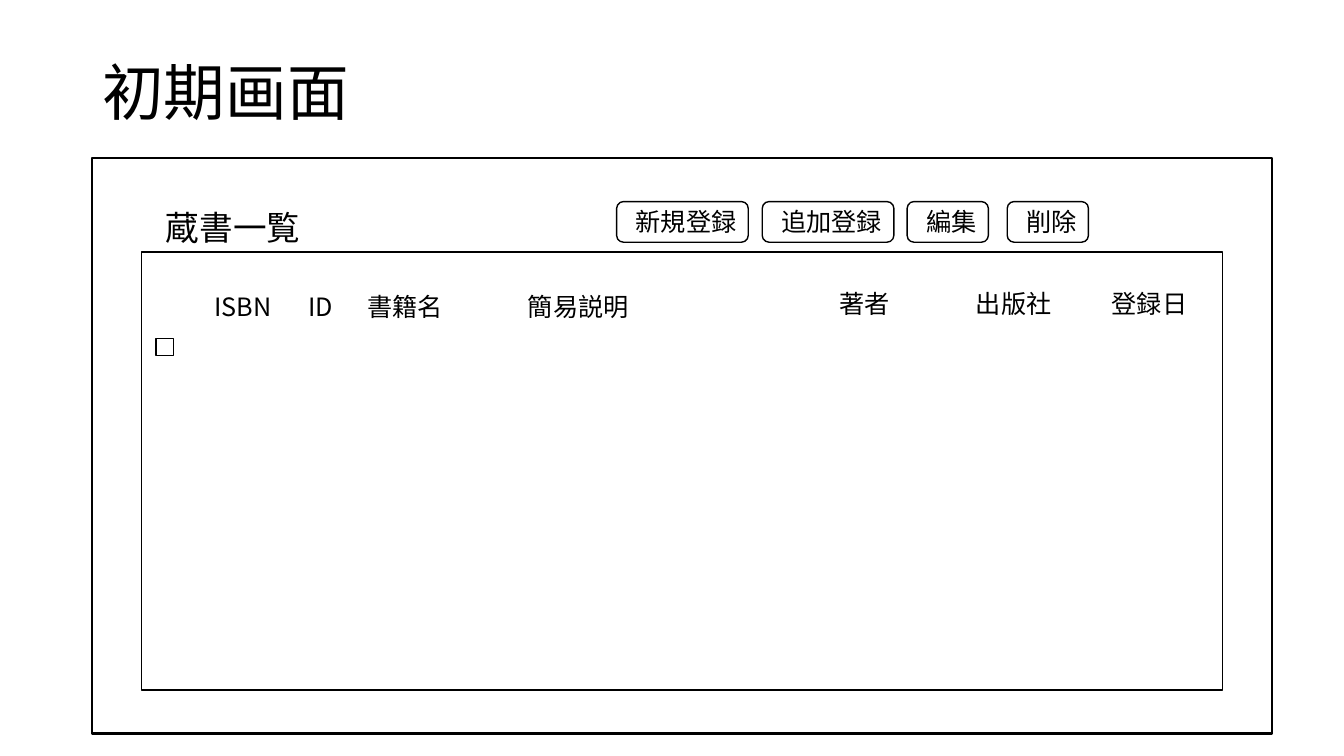
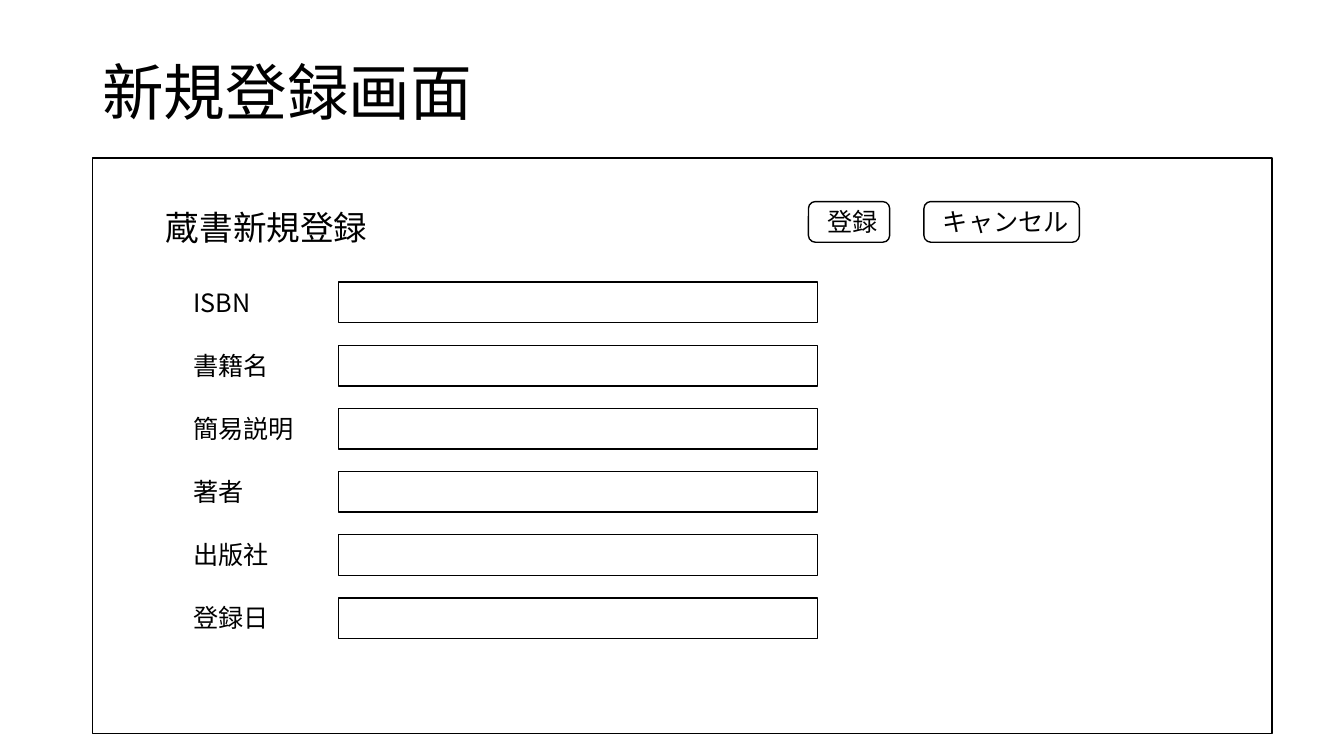
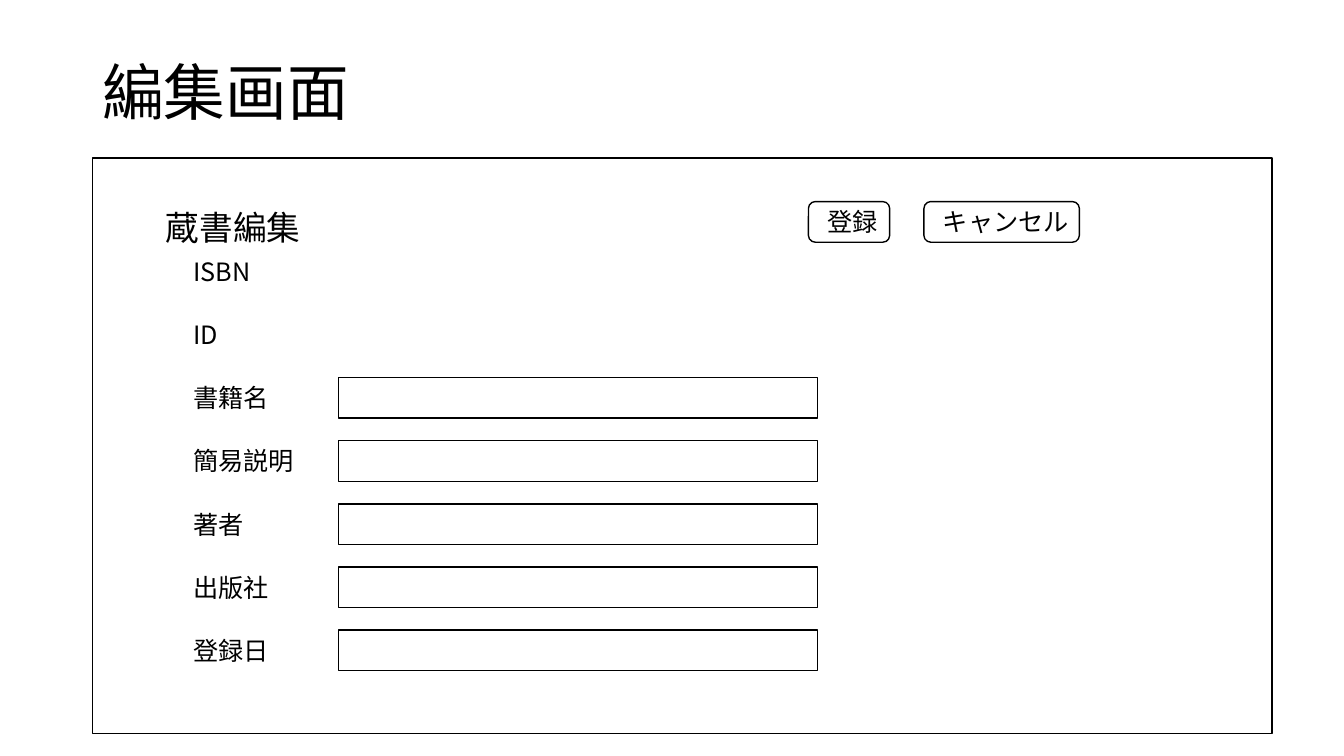
from lxml import etree
from pptx import Presentation
from pptx.dml.color import RGBColor
from pptx.enum.shapes import MSO_SHAPE
from pptx.enum.text import MSO_ANCHOR, MSO_AUTO_SIZE
from pptx.oxml.ns import qn
from pptx.util import Pt

RECTANGLE, ROUNDED = MSO_SHAPE.RECTANGLE, MSO_SHAPE.ROUNDED_RECTANGLE
TOP, MIDDLE = MSO_ANCHOR.TOP, MSO_ANCHOR.MIDDLE
GROW, FIXED = MSO_AUTO_SIZE.SHAPE_TO_FIT_TEXT, MSO_AUTO_SIZE.NONE
COLORS = {"paper": "FFFFFF", "ink": "000000"}
FONT = "Noto Sans CJK JP"
BUTTON_TOP, CONTROL_HEIGHT = 144, 29
ROW_PITCH = 45.1


class Wireframe:
    """Draws screen mock-ups in one shared style."""

    def __init__(self):
        self.deck = Presentation()
        self.deck.slide_width, self.deck.slide_height = Pt(960), Pt(540)
        self.page = None

    def screen(self, title, heading, border=1):
        self.page = self.deck.slides.add_slide(self.deck.slide_layouts[6])
        self.text(title, 66, 16, 828, 104.5, size=44, spacing=0.9,
                  vertical_anchor=MIDDLE, auto_size=FIXED)
        self.panel(66, 113, 842.5, 411, border=border)
        self.text(heading, 111.5, 144, 180, 36, size=24)

    def text(self, words, left, top, width, height=CONTROL_HEIGHT, size=18,
             spacing=None, **frame_format):
        box = self.page.shapes.add_textbox(Pt(left), Pt(top), Pt(width), Pt(height))
        frame = {"word_wrap": True, "auto_size": GROW, "vertical_anchor": TOP}
        for name, value in (frame | frame_format).items():
            setattr(box.text_frame, name, value)
        para = box.text_frame.paragraphs[0]
        para.line_spacing = spacing
        span = para.add_run()
        span.text = words
        for name, value in {"name": FONT, "size": Pt(size)}.items():
            setattr(span.font, name, value)
        span.font.color.rgb = RGBColor.from_string(COLORS["ink"])
        etree.SubElement(span.font._element, qn("a:ea"), typeface=FONT)

    def panel(self, left, top, width, height, kind=RECTANGLE, border=1):
        shape = self.page.shapes.add_shape(kind, Pt(left), Pt(top), Pt(width), Pt(height))
        shape.shadow.inherit = False
        shape.fill.solid()
        shape.fill.fore_color.rgb = RGBColor.from_string(COLORS["paper"])
        shape.line.color.rgb = RGBColor.from_string(COLORS["ink"])
        shape.line.width = Pt(border)

    def button(self, words, left, width):
        self.panel(left, BUTTON_TOP, width, CONTROL_HEIGHT, ROUNDED)
        self.text(words, left + 6.5, BUTTON_TOP, width - 6)

    def form(self, labels, top, read_only=()):
        for row, label in enumerate(labels):
            row_top = top + row * ROW_PITCH
            self.text(label, 131, row_top, 128)
            if label not in read_only:
                self.panel(242, row_top, 342, CONTROL_HEIGHT)

    def form_buttons(self):
        self.button("登録", 577.5, 58)
        self.button("キャンセル", 660, 111)


mockup = Wireframe()
DETAILS = ["書籍名", "簡易説明", "著者", "出版社", "登録日"]

mockup.screen("初期画面", "蔵書一覧", border=1.5)
for words, left, width in [("新規登録", 440.5, 94), ("追加登録", 544.5, 94),
                           ("編集", 648, 58), ("削除", 719.5, 58)]:
    mockup.button(words, left, width)
mockup.panel(101, 180, 772.5, 313)
for words, left, top, width in [
    ("ISBN", 146, 204.5, 64), ("ID", 213, 204.5, 40),
    ("書籍名", 255.5, 204.5, 72), ("簡易説明", 370, 204.5, 89),
    ("著者", 592.5, 202.5, 54), ("出版社", 690, 202.5, 72),
    ("登録日", 787, 202.5, 72),
]:
    mockup.text(words, left, top, width)
mockup.panel(111.5, 242, 12.5, 12)

mockup.screen("新規登録画面", "蔵書新規登録")
mockup.form_buttons()
mockup.form(["ISBN"] + DETAILS, 201.5)

mockup.screen("編集画面", "蔵書編集")
mockup.form_buttons()
mockup.form(["ISBN", "ID"] + DETAILS, 179.5, read_only=("ISBN", "ID"))

mockup.deck.save("out.pptx")
